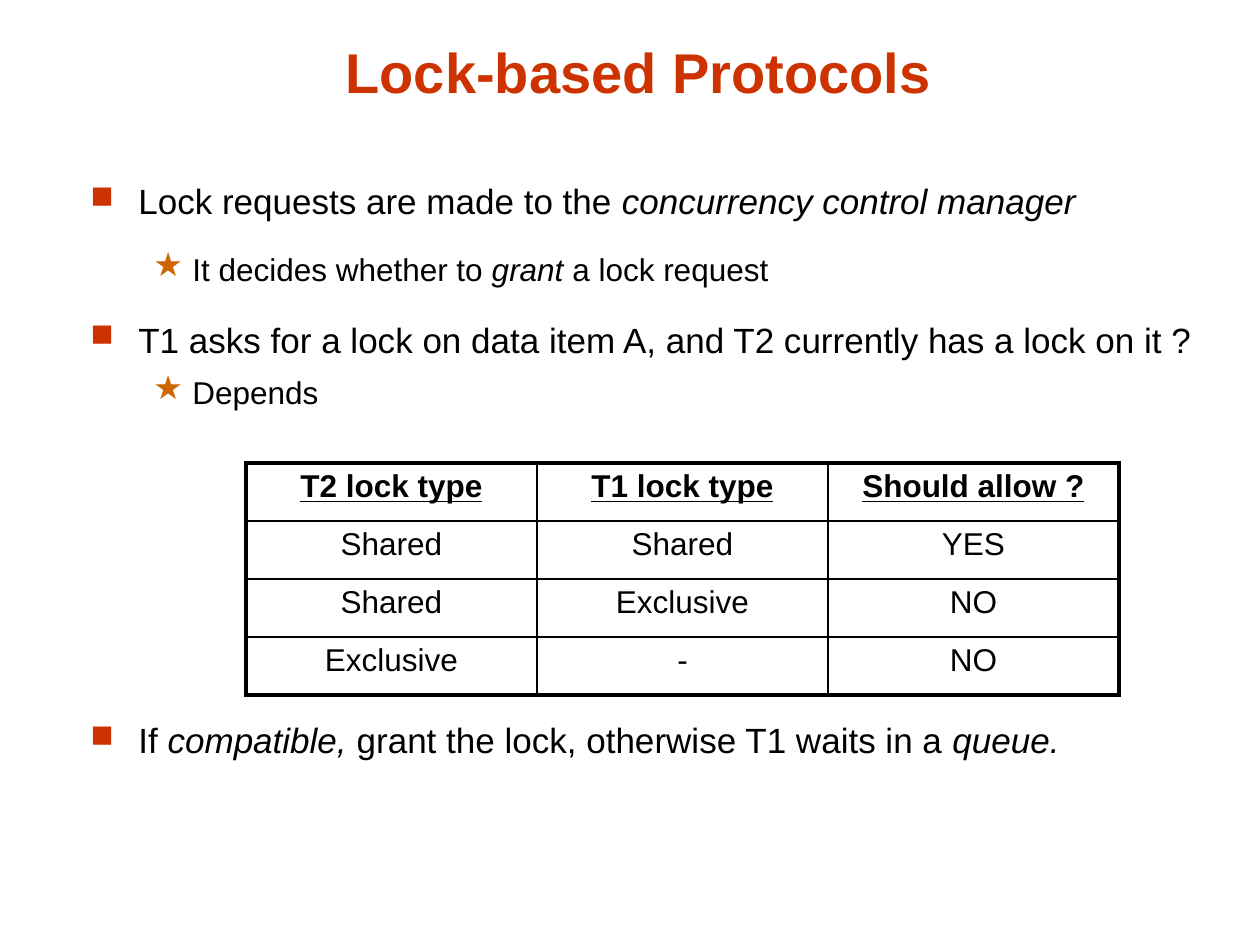
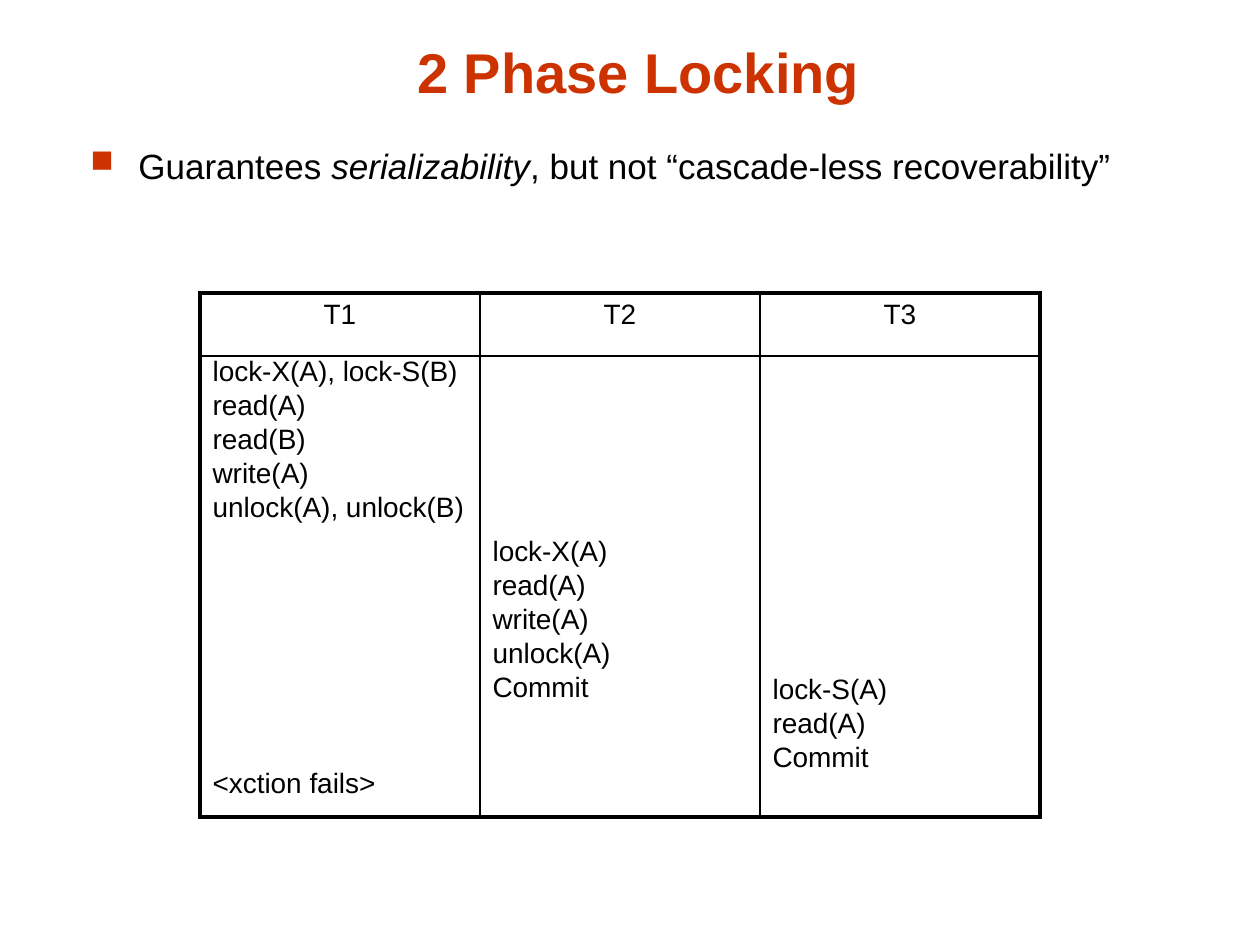
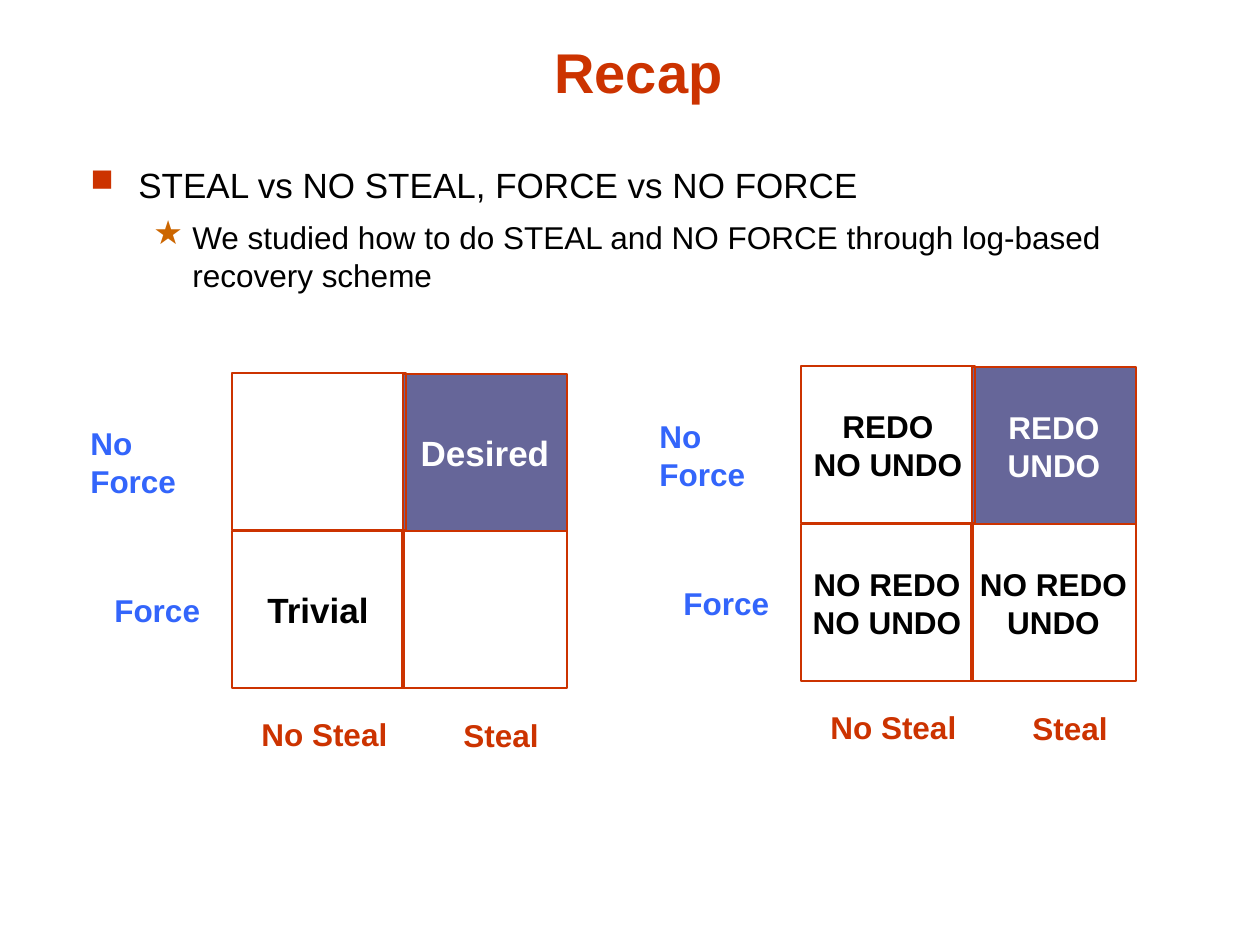
import pptx
import pptx.util
import pptx.dml.color
import pptx.enum.shapes
import pptx.enum.text
import pptx.oxml
import pptx.oxml.ns

RGB = pptx.dml.color.RGBColor
RED = RGB(0xCC, 0x33, 0x00)
AMBER = RGB(0xCC, 0x66, 0x00)
BLUE = RGB(0x33, 0x65, 0xFB)
SLATE = RGB(0x66, 0x66, 0x99)
BLACK = RGB(0x00, 0x00, 0x00)
WHITE = RGB(0xFF, 0xFF, 0xFF)
FONT = "Arial"
LEFT = pptx.enum.text.PP_ALIGN.LEFT
MID = pptx.enum.text.PP_ALIGN.CENTER
ANCHOR = pptx.enum.text.MSO_ANCHOR
RECT = pptx.enum.shapes.MSO_SHAPE.RECTANGLE
SCALE = 914400 / 126
THICK, THIN = 2.25, 1
TOP = dict(size=20, gap=8, mark="■", tint=RED, share=90, left=48, hang=48)
SUB = dict(size=18, gap=7.2, mark="★", tint=AMBER, share=105, left=102, hang=39)


def px(count):
    return int(count * SCALE)


def place(*box):
    return [px(side) for side in box]


def add_xml(parent, tag, spot=None, **attrs):
    item = pptx.oxml.parse_xml(f"<a:{tag} {pptx.oxml.ns.nsdecls('a')}/>")
    for name, value in attrs.items():
        item.set(name, str(value))
    parent.insert(len(parent) if spot is None else spot, item)
    return item


def add_mark(para, mark, tint, share, left, hang):
    props = para._p.get_or_add_pPr()
    props.set("marL", str(px(left)))
    props.set("indent", str(-px(hang)))
    add_xml(add_xml(props, "buClr"), "srgbClr", val=tint)
    add_xml(props, "buSzPct", val=share * 1000)
    add_xml(props, "buChar", char=mark)


def set_para(para, text, size=18, color=BLACK, bold=False, under=False,
             align=LEFT, lead=None, gap=0, **mark):
    if mark:
        add_mark(para, **mark)
    para.alignment = align
    para.line_spacing = lead
    para.space_before = pptx.util.Pt(gap)
    for index, part in enumerate(text.split("*")):
        if part:
            run = para.add_run()
            run.text = part
            font = run.font
            font.name, font.size = FONT, pptx.util.Pt(size)
            font.bold, font.italic, font.underline = bold, index % 2 == 1, under
            font.color.rgb = color


def put(frame, lines, **style):
    for index, line in enumerate(lines):
        text, extra = (line, {}) if isinstance(line, str) else line
        form = style | extra
        if index == 0:
            form["gap"] = 0
        para = frame.add_paragraph() if index else frame.paragraphs[0]
        set_para(para, text, **form)


def add_page(deck, title):
    slide = deck.slides.add_slide(deck.slide_layouts[5])
    head = slide.shapes.title
    head.left, head.top, head.width, head.height = place(82, 27, 1113, 84)
    frame = head.text_frame
    frame.auto_size = pptx.enum.text.MSO_AUTO_SIZE.NONE
    frame.vertical_anchor = ANCHOR.BOTTOM
    put(frame, [title], size=32, color=RED, bold=True, align=MID)
    return slide


def add_body(slide, box, lines):
    frame = slide.shapes.add_textbox(*place(*box)).text_frame
    frame.word_wrap = True
    put(frame, lines)


def set_edge(cell, spot, side, width):
    line = add_xml(cell._tc.get_or_add_tcPr(), "ln" + side, spot,
                   w=int(pptx.util.Pt(width)))
    add_xml(add_xml(line, "solidFill"), "srgbClr", val=BLACK)


def add_grid(slide, left, top, wide, highs, cols):
    rows = len(highs)
    table = slide.shapes.add_table(
        rows, cols, *place(left, top, wide * cols, sum(highs))).table
    table.first_row = table.horz_banding = False
    for col in table.columns:
        col.width = px(wide)
    for row, high in zip(table.rows, highs):
        row.height = px(high)
    for r in range(rows):
        for c in range(cols):
            cell = table.cell(r, c)
            cell.fill.background()
            outer = {"L": c == 0, "R": c == cols - 1,
                     "T": r == 0, "B": r == rows - 1}
            for spot, (side, edge) in enumerate(outer.items()):
                set_edge(cell, spot, side, THICK if edge else THIN)
    return table


def add_label(group, left, top, wide, text, color):
    frame = group.shapes.add_textbox(*place(left, top, wide, 50)).text_frame
    frame.word_wrap = False
    put(frame, [text], bold=True, color=color)


def add_quad(slide, left, top, cells, size):
    group = slide.shapes.add_group_shape()
    for x, y, wide, text, color in (
            (24, 212, 111, "Force", BLUE), (0, 45, 161, "No Force", BLUE),
            (171, 336, 151, "No Steal", RED), (373, 337, 101, "Steal", RED)):
        add_label(group, left + x, top + y, wide, text, color)
    spots = (325, 1, 164), (154, 158, 172), (324, 158, 165), (154, 0, 174)
    for index, ((x, y, wide), lines) in enumerate(zip(spots, cells)):
        shape = group.shapes.add_shape(
            RECT, *place(left + x, top + y, wide, 157))
        shape.shadow.inherit = False
        shape.line.color.rgb = RED
        shape.line.width = pptx.util.Pt(1)
        if index == 0:
            shape.fill.solid()
            shape.fill.fore_color.rgb = SLATE
        else:
            shape.fill.background()
        frame = shape.text_frame
        frame.word_wrap = False
        frame.vertical_anchor = ANCHOR.MIDDLE
        put(frame, lines, size=size, bold=True, align=MID,
            color=BLACK if index else WHITE)


def make_locks(deck):
    slide = add_page(deck, "Lock-based Protocols")
    loose = {"lead": 1.4}
    add_body(slide, (78, 157, 1182, 672), [
        ("Lock requests are made to the *concurrency control manager*", TOP | loose),
        ("It decides whether to *grant *a lock request", SUB | loose),
        ("T1 asks for a lock on data item A, and T2 currently has a lock on it ?",
         TOP | loose),
        ("Depends", SUB),
        ("If *compatible, *grant the lock, otherwise T1 waits in a *queue.*",
         TOP | {"gap": 176})])
    rows = [("T2 lock type", "T1 lock type", "Should allow ?"),
            ("Shared", "Shared", "YES"),
            ("Shared", "Exclusive", "NO"),
            ("Exclusive", "-", "NO")]
    table = add_grid(slide, 246, 463, 291, [58] * len(rows), 3)
    for r, row in enumerate(rows):
        for c, text in enumerate(row):
            put(table.cell(r, c).text_frame, [text], align=MID,
                bold=r == 0, under=r == 0)


def make_phase(deck):
    slide = add_page(deck, "2 Phase Locking")
    add_body(slide, (78, 138, 1081, 672), [
        ("Guarantees *serializability*, but not “cascade-less recoverability”", TOP)])
    steps = [
        ("T1", 6, ["lock-X(A), lock-S(B)", "read(A)", "read(B)", "write(A)",
                   "unlock(A), unlock(B)", ("<xction fails>", {"gap": 143.5})]),
        ("T2", 186, ["lock-X(A)", "read(A)", "write(A)", "unlock(A)", "Commit"]),
        ("T3", 324, ["lock-S(A)", "read(A)", "Commit"])]
    table = add_grid(slide, 200, 293, 280, [63, 454], len(steps))
    for c, (name, drop, lines) in enumerate(steps):
        put(table.cell(0, c).text_frame, [name], size=16, align=MID)
        cell = table.cell(1, c)
        cell.margin_top = px(drop)
        put(cell.text_frame, lines, size=16, lead=0.8, gap=5.15)


def make_recap(deck):
    slide = add_page(deck, "Recap")
    add_body(slide, (78, 157, 1081, 672), [
        ("STEAL vs NO STEAL, FORCE vs NO FORCE", TOP),
        ("We studied how to do STEAL and NO FORCE through log-based recovery scheme",
         SUB)])
    add_quad(slide, 78, 373, [["Desired"], ["Trivial"], [], []], 20)
    add_quad(slide, 647, 366, [["REDO", "UNDO"], ["NO REDO", "NO UNDO"],
                               ["NO REDO", "UNDO"], ["REDO", "NO UNDO"]], 18)


def main():
    deck = pptx.Presentation()
    deck.slide_width, deck.slide_height = place(1260, 945)
    make_locks(deck)
    make_phase(deck)
    make_recap(deck)
    deck.save("out.pptx")


if __name__ == "__main__":
    main()
